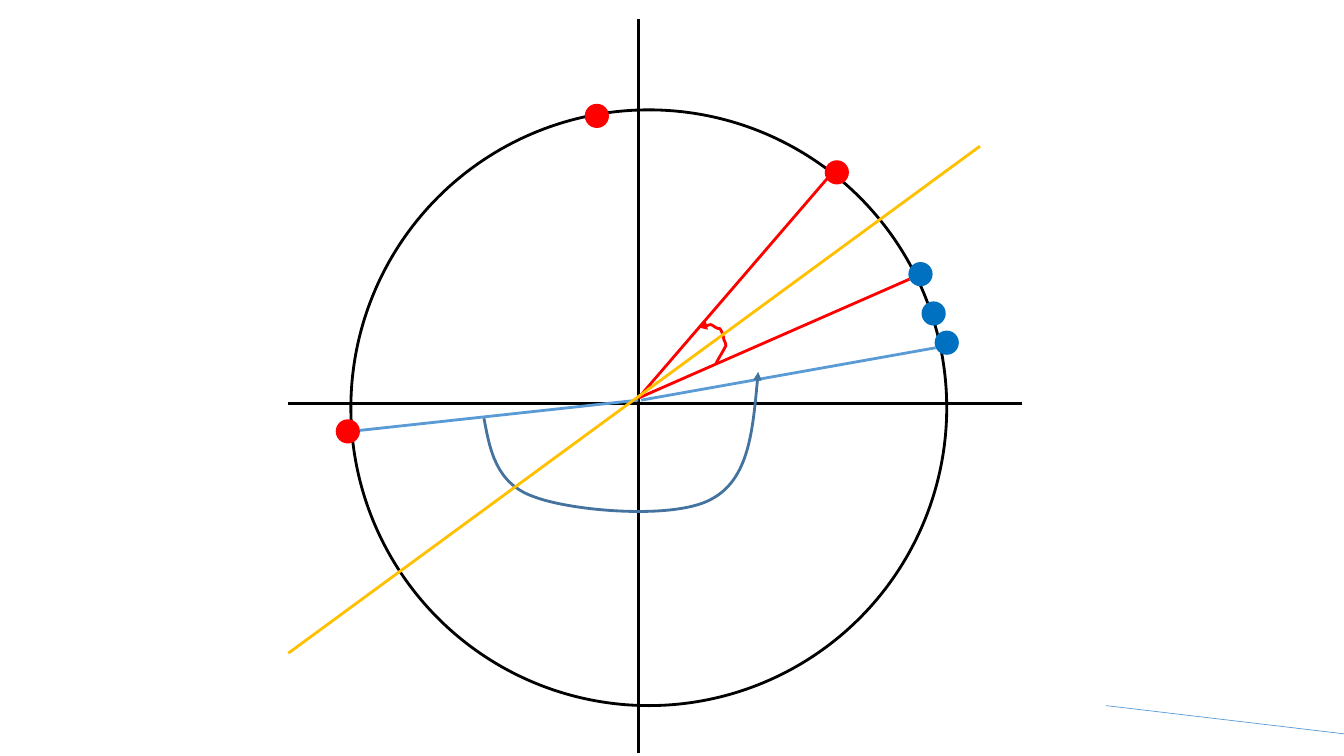
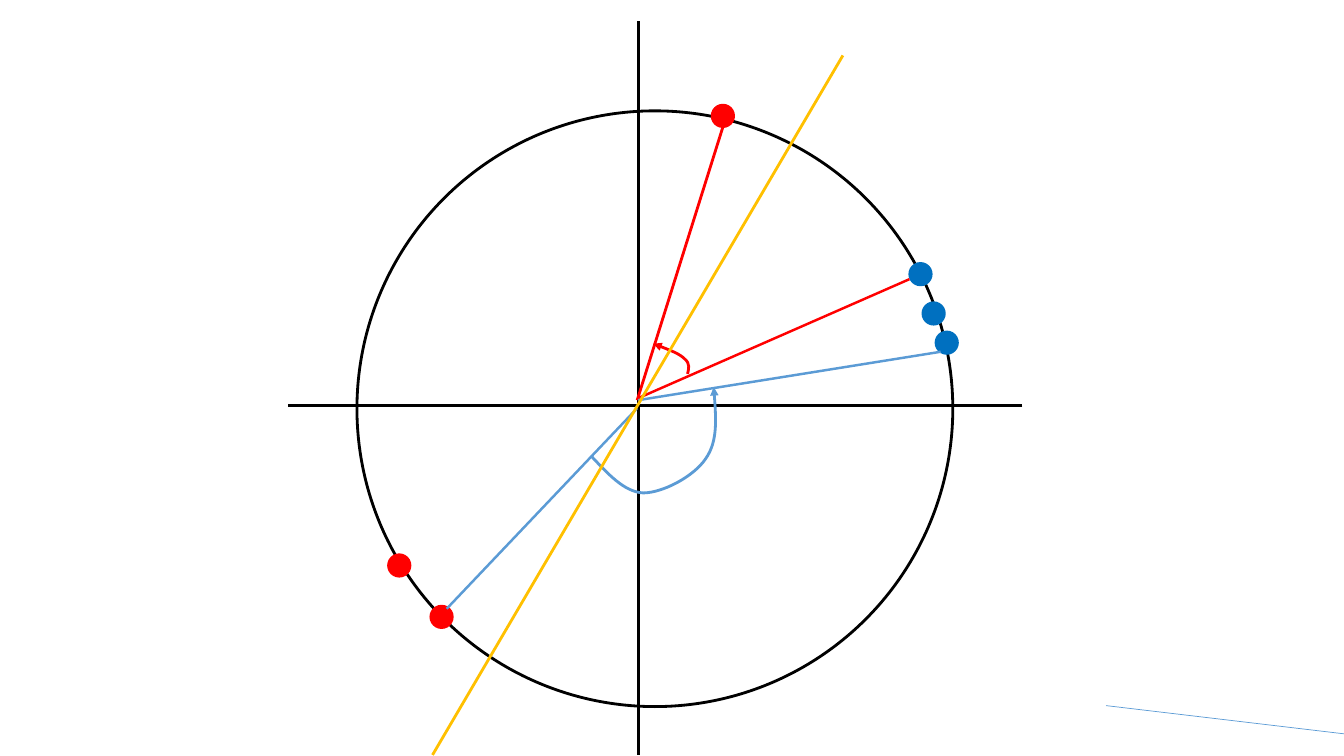
from lxml.etree import SubElement
from pptx import Presentation
from pptx.dml.color import RGBColor
from pptx.enum.shapes import MSO_CONNECTOR, MSO_SHAPE
from pptx.oxml.ns import qn
from pptx.util import Inches, Pt

BLACK, RED, BLUE = "000000", "FF0000", "0070C0"
SKY, STEEL, GOLD = "5B9BD5", "43739E", "FFC000"
RING, DOT = 5.91, 0.24
NEAR = [(9.39, 3.4), (9.13, 2.72), (9.26, 3.11)]
STRAY = ((10.97, 7), (13.33, 7.28), SKY, 0.5)


def paint(form, tone):
    """Set the colour of a fill or a line from a hex string."""
    form.fill.solid()
    form.fill.fore_color.rgb = RGBColor.from_string(tone)


def stroke(shape, tone, width):
    """Give a shape or connector a plain line."""
    paint(shape.line, tone)
    shape.line.width = Pt(width)


def line(shapes, start, end, tone, width=2):
    """Join two points with a straight line."""
    ends = [Inches(v) for v in (*start, *end)]
    link = shapes.add_connector(MSO_CONNECTOR.STRAIGHT, *ends)
    stroke(link, tone, width)
    SubElement(link.element.spPr, qn("a:effectLst"))


def disc(shapes, box):
    """Add a bare ellipse in the given box."""
    shape = shapes.add_shape(MSO_SHAPE.OVAL, *[Inches(v) for v in box])
    shape.shadow.inherit = False
    return shape


def ring(shapes, left, top):
    """Draw the large open circle."""
    shape = disc(shapes, (left, top, RING, RING))
    shape.fill.background()
    stroke(shape, BLACK, 2)


def dots(shapes, spots, tone):
    """Draw one small filled dot around each centre."""
    for x, y in spots:
        shape = disc(shapes, (x - DOT / 2, y - DOT / 2, DOT, DOT))
        paint(shape, tone)
        shape.line.fill.background()


def axes(shapes, left, top, size=7.28):
    """Draw the two crossing axes as one group."""
    x, y = left + 3.47, top + 3.81
    pair = shapes.add_group_shape().shapes
    line(pair, (x, top + size), (x, top), BLACK)
    line(pair, (left + size, y), (left, y), BLACK)


def arc(shapes, start, knots, tone):
    """Draw a curved arrow; each three knots make one cubic curve."""
    pen = shapes.build_freeform(*[Inches(v) for v in start])
    pen.add_line_segments([(Inches(x), Inches(y)) for x, y in knots], close=False)
    shape = pen.convert_to_shape()
    shape.shadow.inherit = False
    shape.fill.background()
    stroke(shape, tone, 2)
    track = next(shape.element.iter(qn("a:path")))
    steps = track.findall(qn("a:lnTo"))
    for i in range(0, len(steps), 3):
        curve = SubElement(track, qn("a:cubicBezTo"))
        for step in steps[i:i + 3]:
            curve.append(step[0])
            track.remove(step)
    rim = shape.element.spPr.find(qn("a:ln"))
    SubElement(rim, qn("a:tailEnd"), type="triangle")


def dial(deck, hub, cross, reds, rays, arcs, split):
    """Build one slide with a circle, its points and its angles."""
    shapes = deck.slides.add_slide(deck.slide_layouts[6]).shapes
    ring(shapes, *hub)
    dots(shapes, reds, RED)
    dots(shapes, NEAR, BLUE)
    axes(shapes, *cross)
    for ray in (*rays, STRAY):
        line(shapes, *ray)
    for bend in arcs:
        arc(shapes, *bend)
    line(shapes, *split, GOLD)


deck = Presentation()
deck.slide_width, deck.slide_height = Inches(13.33), Inches(7.5)

dial(
    deck, (3.48, 1.09), (2.86, 0.19),
    reds=[(3.45, 4.28), (8.3, 1.71), (5.92, 1.15)],
    rays=[
        ((9.02, 2.77), (6.33, 3.95), RED),
        ((6.33, 3.95), (8.24, 1.73), RED),
        ((9.28, 3.45), (6.36, 3.97), SKY),
        ((6.33, 3.97), (3.57, 4.27), SKY),
    ],
    arcs=[
        ((7.1, 3.61), [
            (7.13, 3.55), (7.17, 3.49), (7.2, 3.43),
            (7.2, 3.41), (7.19, 3.39), (7.18, 3.37),
            (7.18, 3.35), (7.16, 3.28), (7.14, 3.26),
            (7.13, 3.26), (7.11, 3.26), (7.1, 3.25),
            (7.04, 3.21), (7.07, 3.22), (6.97, 3.24),
            (6.95, 3.24), (6.93, 3.25), (6.93, 3.25)], RED),
        ((4.8, 4.15), [
            (4.86, 4.47), (4.92, 4.8), (5.3, 4.93),
            (5.67, 5.07), (6.69, 5.16), (7.06, 4.95),
            (7.43, 4.75), (7.47, 4.22), (7.52, 3.69)], STEEL),
    ],
    split=((9.72, 1.45), (2.86, 6.48)),
)
dial(
    deck, (3.54, 1.1), (2.86, 0.21),
    reds=[(7.17, 1.15), (4.38, 6.12), (3.96, 5.61)],
    rays=[
        ((9.02, 2.77), (6.33, 3.95), RED, 1.75),
        ((6.32, 3.97), (7.17, 1.26), RED),
        ((9.33, 3.49), (6.33, 3.97), SKY, 1.75),
        ((6.32, 4.05), (4.43, 6.04), SKY, 1.75),
    ],
    arcs=[
        ((6.82, 3.71), [
            (6.83, 3.66), (6.85, 3.61), (6.79, 3.56),
            (6.74, 3.51), (6.61, 3.46), (6.48, 3.41)], RED),
        ((5.86, 4.52), [
            (6.03, 4.7), (6.19, 4.88), (6.38, 4.89),
            (6.57, 4.89), (6.88, 4.73), (7, 4.55),
            (7.12, 4.38), (7.1, 4.11), (7.08, 3.84)], SKY),
    ],
    split=((8.36, 0.55), (4.29, 7.49)),
)
deck.save("out.pptx")
